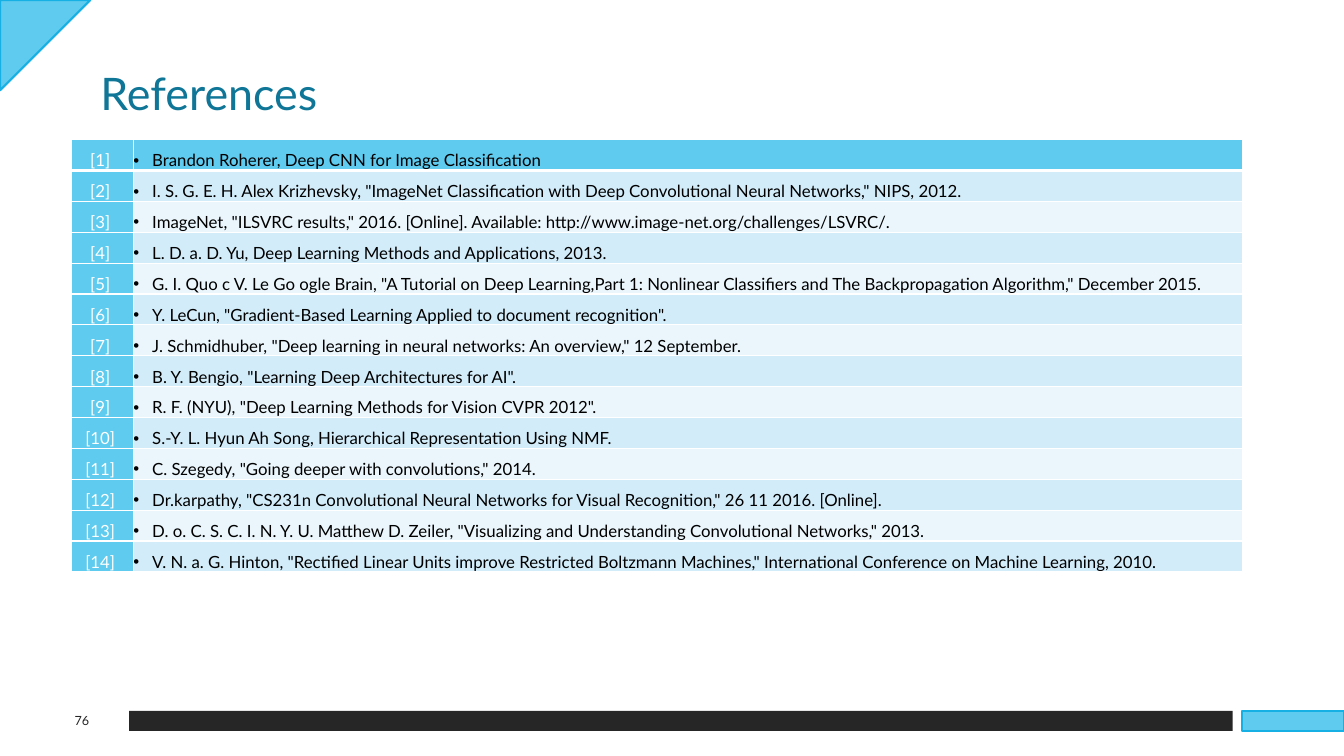
from lxml import etree
from pptx import Presentation
from pptx.dml.color import RGBColor
from pptx.enum.shapes import MSO_SHAPE
from pptx.enum.text import MSO_ANCHOR, PP_ALIGN
from pptx.oxml.ns import qn
from pptx.util import Pt

PX = 9525
FONT = "Lato"
SKY, SKY_EDGE, TEAL = "5FCBEF", "17B0E4", "0F7698"
DARK, WHITE, BLACK = "262626", "FFFFFF", "000000"
BANDS = ["EAF6FC", "D2ECF9"]
RECTANGLE, TRIANGLE = MSO_SHAPE.RECTANGLE, MSO_SHAPE.RIGHT_TRIANGLE
LEFT, CENTER = PP_ALIGN.LEFT, PP_ALIGN.CENTER
MIDDLE = MSO_ANCHOR.MIDDLE
TITLE_ONLY = 5

REFERENCES = [
    "Brandon Roherer, Deep CNN for Image Classification",
    'I. S. G. E. H. Alex Krizhevsky, "ImageNet Classification with Deep Convolutional Neural Networks," NIPS, 2012.',
    'ImageNet, "ILSVRC results," 2016. [Online]. Available: http://www.image-net.org/challenges/LSVRC/.',
    "L. D. a. D. Yu, Deep Learning Methods and Applications, 2013.",
    'G. I. Quo c V. Le Go ogle Brain, "A Tutorial on Deep Learning,Part 1: Nonlinear Classifiers and The Backpropagation Algorithm," December 2015.',
    'Y. LeCun, "Gradient-Based Learning Applied to document recognition".',
    'J. Schmidhuber, "Deep learning in neural networks: An overview," 12 September.',
    'B. Y. Bengio, "Learning Deep Architectures for AI".',
    'R. F. (NYU), "Deep Learning Methods for Vision CVPR 2012".',
    "S.-Y. L. Hyun Ah Song, Hierarchical Representation Using NMF.",
    'C. Szegedy, "Going deeper with convolutions," 2014.',
    'Dr.karpathy, "CS231n Convolutional Neural Networks for Visual Recognition," 26 11 2016. [Online].',
    'D. o. C. S. C. I. N. Y. U. Matthew D. Zeiler, "Visualizing and Understanding Convolutional Networks," 2013.',
    'V. N. a. G. Hinton, "Rectified Linear Units improve Restricted Boltzmann Machines," International Conference on Machine Learning, 2010.',
]


def scaled(*lengths):
    return [length * PX for length in lengths]


def color(value):
    return RGBColor.from_string(value)


def write(frame, text, size, ink, align):
    frame.text = text
    para = frame.paragraphs[0]
    para.alignment = align
    font = para.runs[0].font
    font.name, font.size, font.bold = FONT, Pt(size), False
    font.color.rgb = color(ink)
    return para


def add_block(page, kind, box, fill, edge=None):
    block = page.shapes.add_shape(kind, *scaled(*box))
    block.shadow.inherit = False
    block.fill.solid()
    block.fill.fore_color.rgb = color(fill)
    if edge:
        block.line.color.rgb = color(edge)
        block.line.width = Pt(1.5)
    else:
        block.line.fill.background()
    return block


def add_corner(page, box):
    add_block(page, TRIANGLE, box, SKY, SKY_EDGE).rotation = 90


def add_footer(page, box):
    left, top, width, height = box
    accent = 97
    add_block(page, RECTANGLE, (left + 80, top + 10, 1051, 19), DARK)
    add_block(page, RECTANGLE, (left + width - accent, top + 10, accent, 19), SKY, SKY_EDGE)
    number = page.shapes.add_textbox(*scaled(left, top, 70, height))
    number.text_frame.word_wrap = True
    number.text_frame.vertical_anchor = MIDDLE
    write(number.text_frame, "76", 9, DARK, CENTER)


def add_title(page, box):
    title = page.shapes.title
    title.left, title.top, title.width, title.height = scaled(*box)
    title.text_frame.vertical_anchor = MIDDLE
    write(title.text_frame, "References", 32, TEAL, LEFT)


def add_borders(cell, top, bottom):
    properties = cell._tc.get_or_add_tcPr()
    for side, width in (("L", 1), ("R", 1), ("T", top), ("B", bottom)):
        line = etree.SubElement(properties, qn(f"a:ln{side}"), w=str(Pt(width)))
        fill = etree.SubElement(line, qn("a:solidFill"))
        etree.SubElement(fill, qn("a:srgbClr"), val=WHITE)


def fill_cell(cell, text, ink, align, fill, row, indent, bullet=None):
    cell.margin_left = cell.margin_right = cell.margin_top = cell.margin_bottom = 0
    add_borders(cell, 3 if row == 1 else 1, 3 if row == 0 else 1)
    cell.fill.solid()
    cell.fill.fore_color.rgb = color(fill)
    para = write(cell.text_frame, text, 12, ink, align)
    para.line_spacing, para.space_after = 1.53, Pt(10.9)
    properties = para._p.get_or_add_pPr()
    properties.set("marL", str(indent * PX))
    properties.set("indent", str(-indent * PX))
    if bullet:
        etree.SubElement(properties, qn("a:buFont"), typeface="Arial")
        etree.SubElement(properties, qn("a:buChar"), char=bullet)


def add_references(page, box):
    left, top, width, row_height = box
    count = len(REFERENCES)
    table = page.shapes.add_table(
        count, 2, *scaled(left, top, width, row_height * count)).table
    table.first_row = table.horz_banding = False
    number_width = 59
    table.columns[0].width, table.columns[1].width = scaled(number_width, width - number_width)
    for row, reference in enumerate(REFERENCES):
        band = BANDS[row % 2] if row else SKY
        fill_cell(table.cell(row, 0), f"[{row + 1}] ", WHITE, CENTER, SKY, row, 1)
        fill_cell(table.cell(row, 1), reference, BLACK, LEFT, band, row, 18, "•")


def main():
    deck = Presentation()
    deck.slide_width, deck.slide_height = scaled(1280, 720)
    page = deck.slides.add_slide(deck.slide_layouts[TITLE_ONLY])
    add_corner(page, (0, 0, 86, 86))
    add_footer(page, (43, 667, 1237, 38))
    add_title(page, (86, 58, 383, 61))
    add_references(page, (68, 133, 1115, 29))
    deck.save("out.pptx")


if __name__ == "__main__":
    main()
